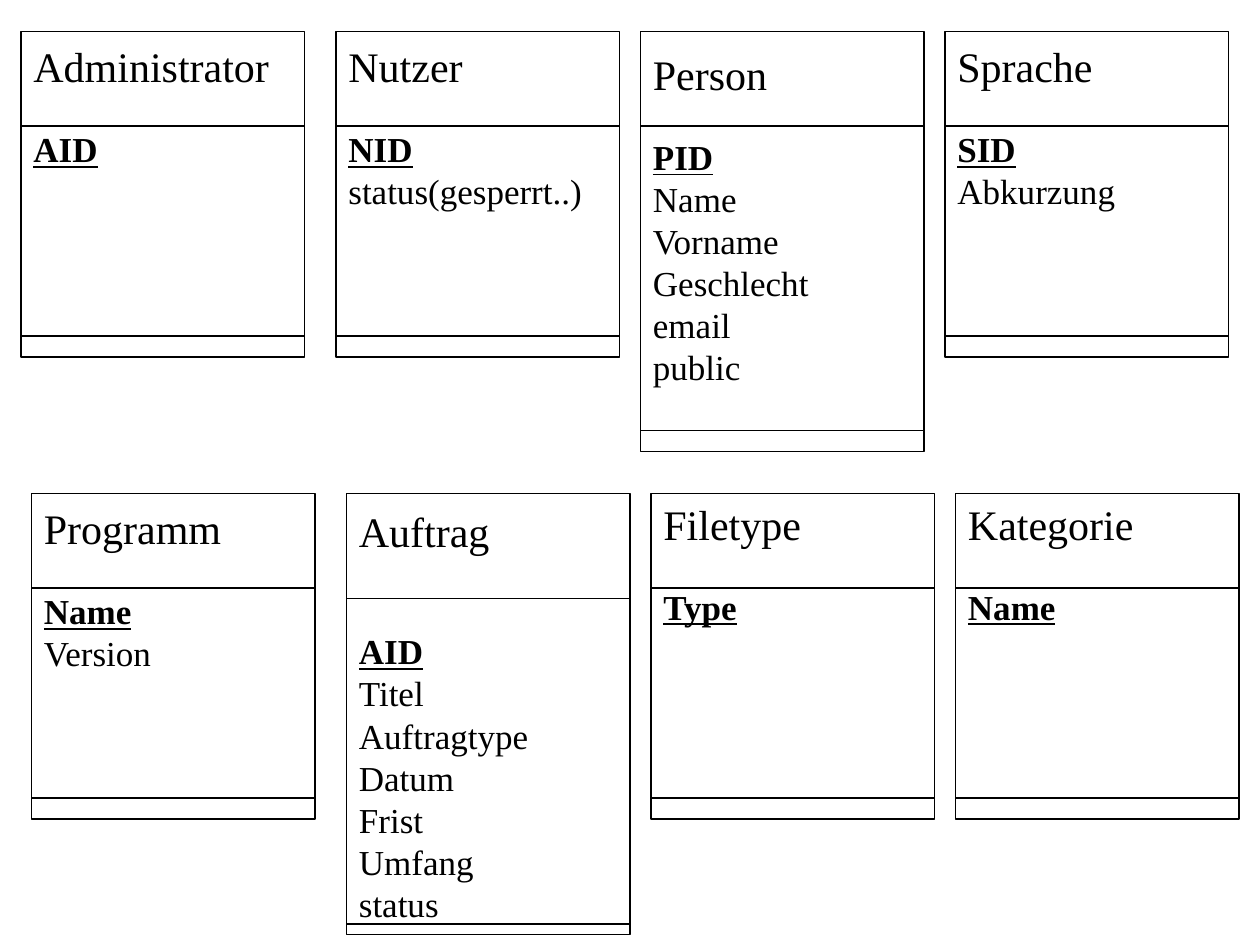
"""Build a slide of eight entity cards with their keys and attributes."""
from dataclasses import dataclass

from lxml import etree
from pptx import Presentation
from pptx import util as u
from pptx.dml.color import RGBColor
from pptx.enum import shapes, text
from pptx.oxml import ns


@dataclass(frozen=True)
class Theme:
    font: str = "Times New Roman"
    ink: RGBColor = RGBColor(0, 0, 0)
    paper: RGBColor = RGBColor(255, 255, 255)
    title: int = 24
    title_line: int = 28
    body: int = 20
    body_line: int = 24
    rule: float = 0.75


class Diagram:
    COLS, ROWS = 120, 90

    def __init__(self, prs, theme):
        self.theme = theme
        self.s = prs.slides.add_slide(prs.slide_layouts[6])
        self.dx = prs.slide_width // self.COLS
        self.dy = prs.slide_height // self.ROWS

    def rule(self, x, y, w):
        line = self.s.shapes.add_connector(
            shapes.MSO_CONNECTOR.STRAIGHT,
            x * self.dx, y * self.dy, (x + w) * self.dx, y * self.dy)
        line.line.color.rgb = self.theme.ink
        line.line.width = u.Pt(self.theme.rule)
        etree.SubElement(line._element.spPr, ns.qn("a:effectLst"))

    def box(self, x, y, w, h):
        sp = self.s.shapes.add_shape(
            shapes.MSO_SHAPE.RECTANGLE,
            x * self.dx, y * self.dy, w * self.dx, h * self.dy)
        sp.shadow.inherit = False
        sp.fill.solid()
        sp.fill.fore_color.rgb = self.theme.paper
        sp.line.color.rgb = self.theme.ink
        sp.line.width = u.Pt(self.theme.rule)
        return sp

    def paragraph(self, p, words, size, line, key=False):
        p.text = words
        p.alignment = text.PP_ALIGN.LEFT
        p.line_spacing = u.Pt(line)
        p.font.name = self.theme.font
        p.font.size = u.Pt(size)
        p.font.color.rgb = self.theme.ink
        p.font.bold = p.font.underline = key

    def entity(self, x, y, name, fields, w=27, h=31, head=9, foot=2,
               inset=6, gap=21):
        t = self.theme
        tf = self.box(x, y, w, h).text_frame
        tf.word_wrap = True
        tf.vertical_anchor = text.MSO_ANCHOR.TOP
        tf.margin_top = u.Pt(inset)
        tf.margin_bottom = 0
        p = tf.paragraphs[0]
        self.paragraph(p, name, t.title, t.title_line)
        p.space_after = u.Pt(gap)
        for i, field in enumerate(fields):
            self.paragraph(tf.add_paragraph(), field, t.body, t.body_line,
                           key=i == 0)
        self.rule(x, y + head, w)
        self.rule(x, y + h - foot, w)


COLUMNS = (2, 32, 61, 90)
ENTITY_ROWS = (
    (0, 3, (
        ("Administrator", ["AID"], {}),
        ("Nutzer", ["NID", "status(gesperrt..)"], {}),
        ("Person",
         ["PID", "Name", "Vorname", "Geschlecht", "email", "public"],
         dict(h=40, inset=10.5)),
        ("Sprache", ["SID", "Abkurzung"], {}),
    )),
    (1, 47, (
        ("Programm", ["Name", "Version"], {}),
        ("Auftrag",
         ["AID", "Titel", "Auftragtype", "Datum", "Frist", "Umfang",
          "status"],
         dict(h=42, head=10, foot=1, inset=7.5, gap=42.5)),
        ("Filetype", ["Type"], dict(inset=3.5)),
        ("Kategorie", ["Name"], dict(inset=3.5)),
    )),
)


def main():
    prs = Presentation()
    prs.slide_width, prs.slide_height = u.Inches(10), u.Inches(7.5)
    diagram = Diagram(prs, Theme())
    for shift, y, entities in ENTITY_ROWS:
        for x, (name, fields, options) in zip(COLUMNS, entities):
            diagram.entity(x + shift, y, name, fields, **options)
    prs.save("out.pptx")


if __name__ == "__main__":
    main()
